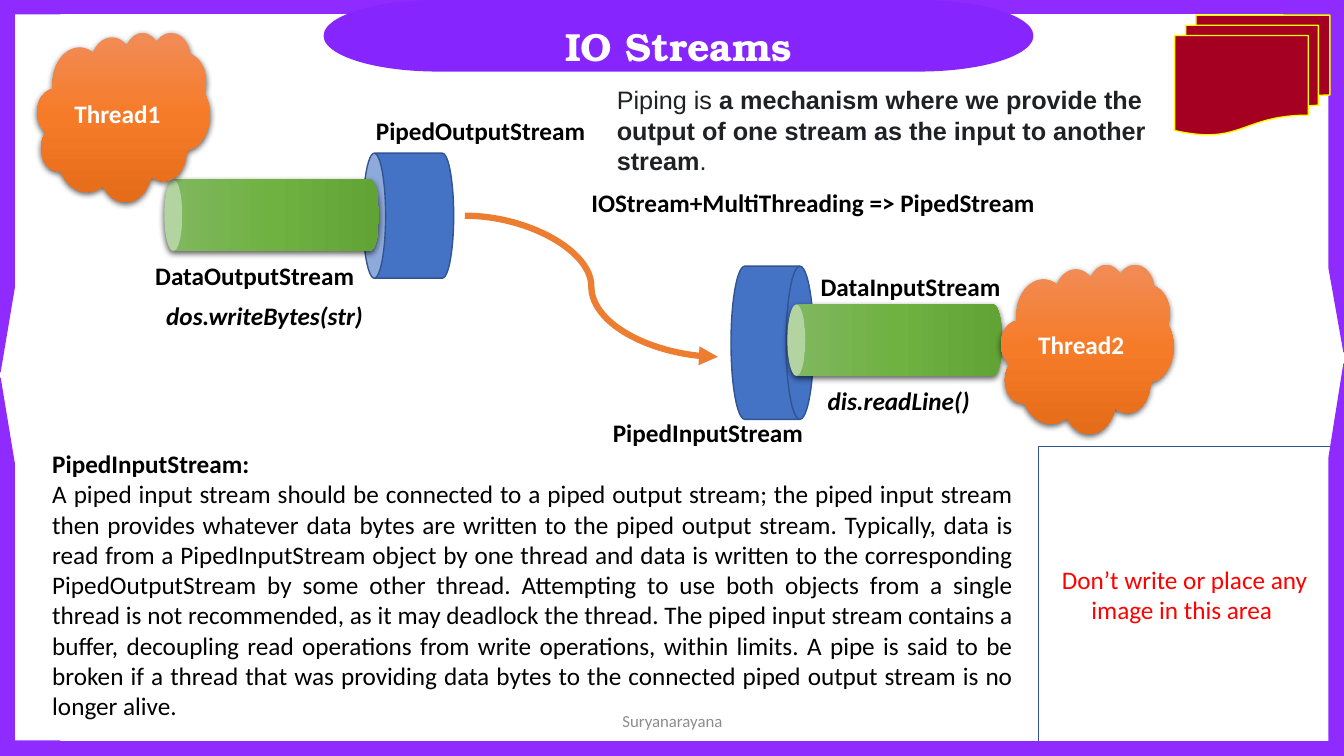
from copy import deepcopy

from lxml.etree import SubElement
from pptx import Presentation
from pptx.dml.color import RGBColor
from pptx.enum.shapes import MSO_CONNECTOR, MSO_SHAPE as Preset
from pptx.enum.text import MSO_ANCHOR as Anchor, MSO_AUTO_SIZE as AutoSize, PP_ALIGN as Align
from pptx.oxml.ns import qn
from pptx.util import Inches, Pt

WIDTH, HEIGHT = 13.33, 7.5
FRAME = "902BFF"
PIPE_BLUE, PIPE_EDGE = "4472C4", "325491"
GREEN = ["81B861", "6FB242", "62A336"]
ORANGE = ["F18C57", "F67B28", "E56C19"]

PIPED_INPUT = (
    "A piped input stream should be connected to a piped output stream; the piped input stream "
    "then provides whatever data bytes are written to the piped output stream. Typically, data is "
    "read from a PipedInputStream object by one thread and data is written to the corresponding "
    "PipedOutputStream by some other thread. Attempting to use both objects from a single thread "
    "is not recommended, as it may deadlock the thread. The piped input stream contains a buffer, "
    "decoupling read operations from write operations, within limits. A pipe is said to be broken "
    "if a thread that was providing data bytes to the connected piped output stream is no longer "
    "alive."
)


def color(value):
    """Turn a hex string into a colour."""
    return RGBColor.from_string(value)


def add_preset(page, preset, area, fill, line=None, rotation=0, flip=False, adjust=()):
    """Add a plain filled preset shape."""
    shape = page.shapes.add_shape(preset, *map(Inches, area))
    shape.shadow.inherit = False
    shape.rotation = rotation
    for index, value in enumerate(adjust):
        shape.adjustments[index] = value
    if flip:
        shape.element.spPr.find(qn("a:xfrm")).set("flipH", "1")
    shape.fill.solid()
    shape.fill.fore_color.rgb = color(fill)
    if line:
        shape.line.color.rgb = color(line)
        shape.line.width = Pt(1)
    else:
        shape.line.fill.background()
    return shape


def add_glossy(page, preset, area, tints, rotation=0):
    """Add a shape with a three-stop vertical gradient and a soft shadow."""
    shape = add_preset(page, preset, area, tints[0], rotation=rotation)
    shape.fill.gradient()
    shape.fill.gradient_angle = 270
    properties = shape.element.spPr
    stops = properties.find(".//" + qn("a:gsLst"))
    stops.insert(1, deepcopy(stops[0]))
    for index, (stop, tint) in enumerate(zip(shape.fill.gradient_stops, tints)):
        stop.position = index / 2
        stop.color.rgb = color(tint)
    effects = properties.find(qn("a:effectLst"))
    shadow = SubElement(effects, qn("a:outerShdw"), blurRad=str(Pt(4.5)), dist=str(Pt(1.5)),
                        dir="5400000", algn="ctr", rotWithShape="0")
    black = SubElement(shadow, qn("a:srgbClr"), val="000000")
    SubElement(black, qn("a:alpha"), val="63000")
    return shape


def add_span(para, text, size=18, font="Calibri", tint="000000", bold=False, italic=False):
    """Add one formatted run to a paragraph."""
    span = para.add_run()
    span.text = text
    span.font.size = Pt(size)
    span.font.name = font
    span.font.bold = bold
    span.font.italic = italic
    span.font.color.rgb = color(tint)


def write(shape, text, **style):
    """Write one centred line in the middle of a shape."""
    frame = shape.text_frame
    frame.word_wrap = True
    frame.vertical_anchor = Anchor.MIDDLE
    para = frame.paragraphs[0]
    para.alignment = Align.CENTER
    add_span(para, text, **style)


def add_text(page, area, paragraphs, align=Align.LEFT, wrap=True):
    """Add a text box; each paragraph is a list of (text, style) runs."""
    box = page.shapes.add_textbox(*map(Inches, area))
    frame = box.text_frame
    frame.word_wrap = wrap
    frame.auto_size = AutoSize.SHAPE_TO_FIT_TEXT
    for index, spans in enumerate(paragraphs):
        para = frame.add_paragraph() if index else frame.paragraphs[0]
        para.alignment = align
        for text, style in spans:
            add_span(para, text, **style)


def add_label(page, left, top, width, text, italic=False):
    """Add a bold one-line label."""
    add_text(page, (left, top, width, 0.4), [[(text, {"bold": True, "italic": italic})]], wrap=False)


def add_curve(page, start, end, tint, width):
    """Add a curved arrow."""
    curve = page.shapes.add_connector(MSO_CONNECTOR.CURVE, *map(Inches, start + end))
    curve.line.color.rgb = color(tint)
    curve.line.width = Pt(width)
    properties = curve.element.spPr
    SubElement(properties.find(qn("a:ln")), qn("a:tailEnd"), type="triangle")
    SubElement(properties, qn("a:effectLst"))


def add_border(page):
    """Draw the purple border, title banner and corner pieces."""
    def corner(area, adjust, rotation=0, flip=False):
        """Draw one tapering corner piece."""
        add_preset(page, Preset.HALF_FRAME, area, FRAME, FRAME, rotation, flip, adjust)

    side = 0.62
    right = WIDTH - side
    corner((0, 0, side, 3.69), (0.218, 0.228))
    corner((right, 0, side, 3.49), (0.228, 0.239), flip=True)
    corner((0, 3.75, side, 3.75), (0.239, 0.228), rotation=180, flip=True)
    add_preset(page, Preset.RECTANGLE, (0, -0.01, WIDTH, 0.14), FRAME, FRAME)
    add_preset(page, Preset.FLOWCHART_TERMINATOR, (3.21, 0, 7.04, 0.71), "8725FE")
    title = {"size": 28, "font": "TeX Gyre Bonum", "tint": "FFFFFF", "bold": True}
    add_text(page, (3.32, 0.17, 6.82, 0.57), [[("IO Streams", title)]], Align.CENTER)
    add_preset(page, Preset.FLOWCHART_MULTIDOCUMENT, (11.65, 0.15, 1.54, 1.19), "A50021", "FFFF00")
    reserved = add_preset(page, Preset.RECTANGLE, (10.3, 4.43, 2.9, 2.93), "FFFFFF", PIPE_EDGE)
    write(reserved, "Don’t write or place any image in this area ", tint="FF0000")
    corner((right, 3.61, side, 3.89), (0.228, 0.239), rotation=180)
    add_preset(page, Preset.RECTANGLE, (0, 7.36, WIDTH, 0.14), FRAME, FRAME)


def add_pipes(page):
    """Draw the two threads and the streams that join them."""
    add_preset(page, Preset.CAN, (3.43, 1.69, 1.24, 0.9), PIPE_BLUE, PIPE_EDGE, rotation=270)
    add_glossy(page, Preset.CAN, (2.34, 1.07, 0.71, 2.13), GREEN, rotation=270)
    add_preset(page, Preset.FLOWCHART_DIRECT_ACCESS_STORAGE, (7.25, 2.64, 0.82, 1.52),
               PIPE_BLUE, PIPE_EDGE)
    add_glossy(page, Preset.CAN, (8.52, 2.31, 0.71, 2.13), GREEN, rotation=270)
    add_label(page, 3.63, 1.09, 2.29, "PipedOutputStream")
    add_label(page, 1.44, 2.53, 2.19, "DataOutputStream")
    add_label(page, 8.04, 2.64, 2, "DataInputStream")
    add_label(page, 5.98, 4.09, 2.1, "PipedInputStream")
    add_curve(page, (4.61, 2.14), (7.12, 3.54), "ED7D31", 4.5)
    for left, top, name in ((0.37, 0.32, "Thread1"), (9.93, 2.62, "Thread2")):
        cloud = add_glossy(page, Preset.CLOUD, (left, top, 1.71, 1.68), ORANGE)
        write(cloud, name, tint="FFFFFF", bold=True)
    add_label(page, 1.55, 2.93, 2.18, "dos.writeBytes(str)", italic=True)
    add_label(page, 8.11, 3.77, 1.62, "dis.readLine()", italic=True)


def add_notes(page):
    """Add the explanations and the author line."""
    bold = {"bold": True}
    add_text(page, (0.42, 4.4, 9.73, 2.83),
             [[("PipedInputStream:", bold)], [(PIPED_INPUT, {})]], Align.JUSTIFY)
    add_text(page, (5.58, 1.81, 4.97, 0.4),
             [[("IOStream+MultiThreading => PipedStream", bold)]], Align.CENTER)
    plain = {"font": "Arial", "tint": "202124"}
    mechanism = "a mechanism where we provide the output of one stream as the input to another stream"
    add_text(page, (6.02, 0.79, 5.6, 1.01),
             [[("Piping is ", plain), (mechanism, plain | bold), (".", plain)]])
    footer = page.shapes.add_textbox(*map(Inches, (4.42, 6.95, 4.5, 0.4)))
    write(footer, "Suryanarayana", size=12, tint="8C8C8C")


def main():
    """Build the slide and save it."""
    deck = Presentation()
    deck.slide_width, deck.slide_height = Inches(WIDTH), Inches(HEIGHT)
    page = deck.slides.add_slide(deck.slide_layouts[6])
    add_border(page)
    add_pipes(page)
    add_notes(page)
    deck.save("out.pptx")


if __name__ == "__main__":
    main()
